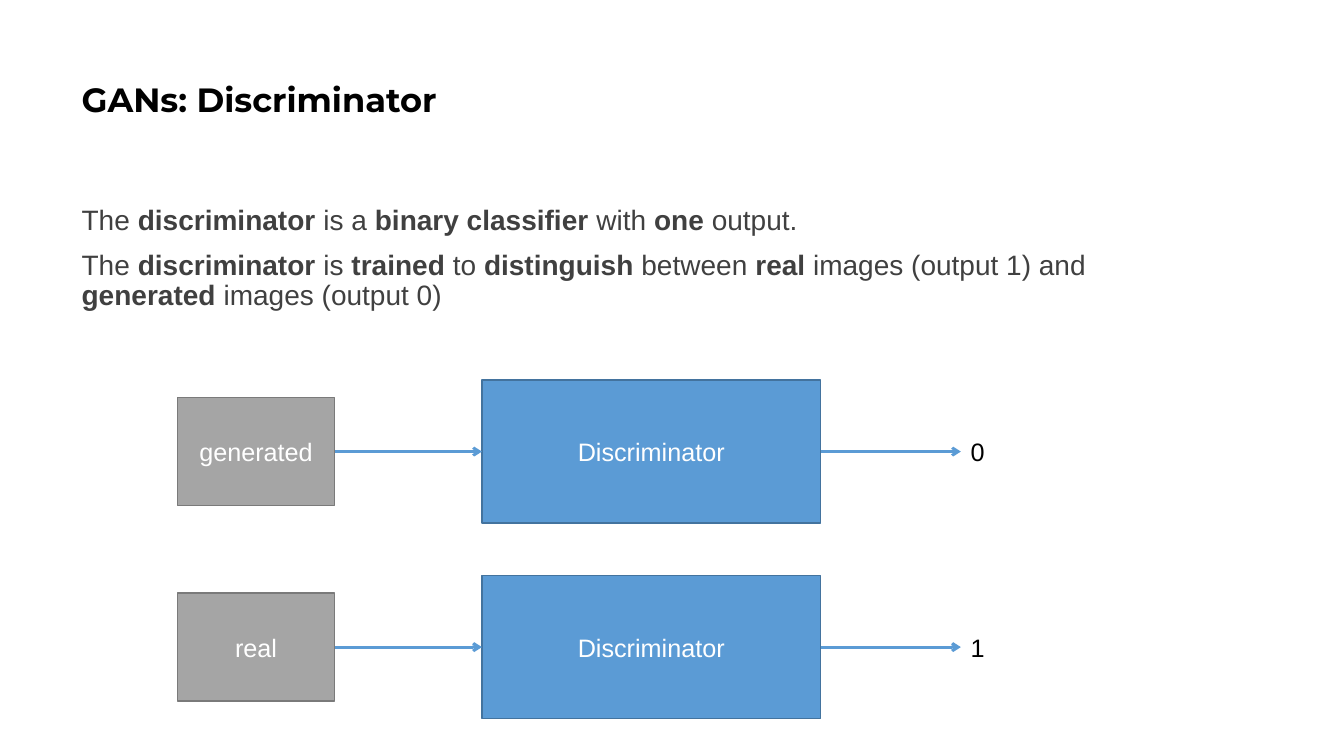
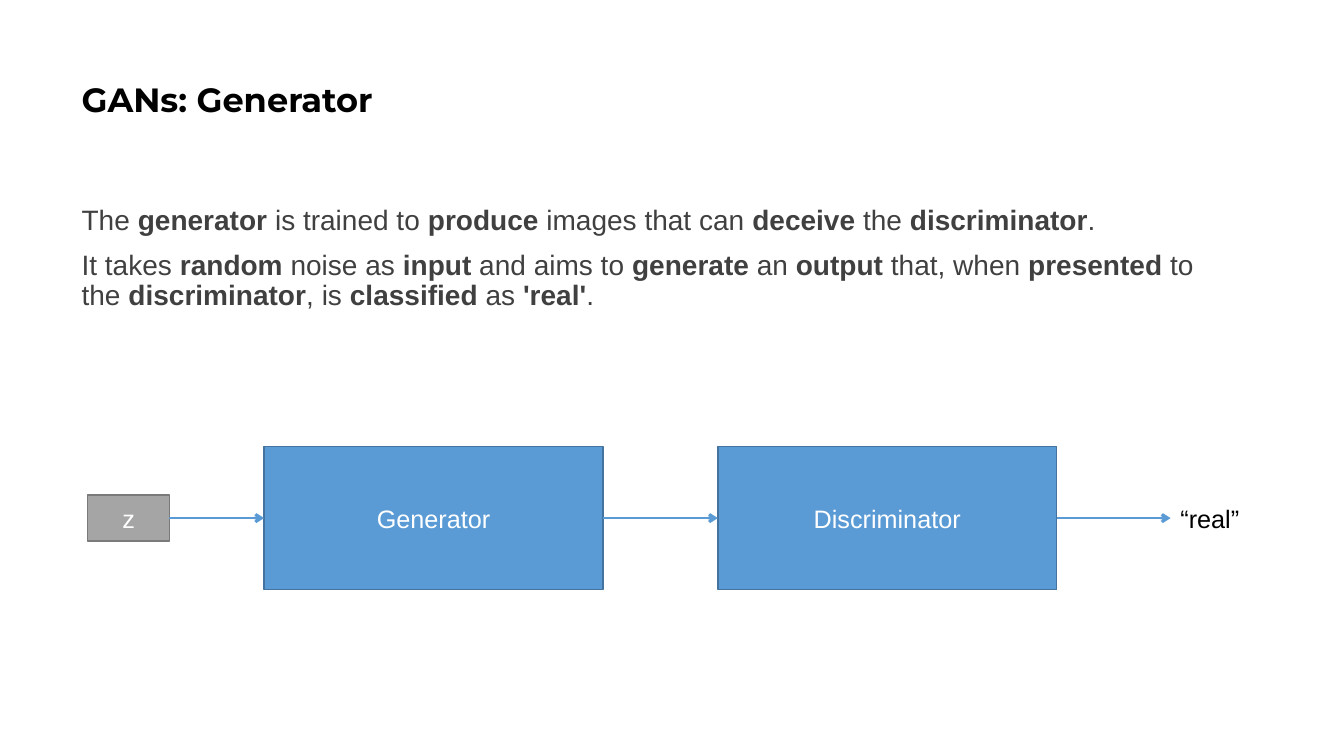
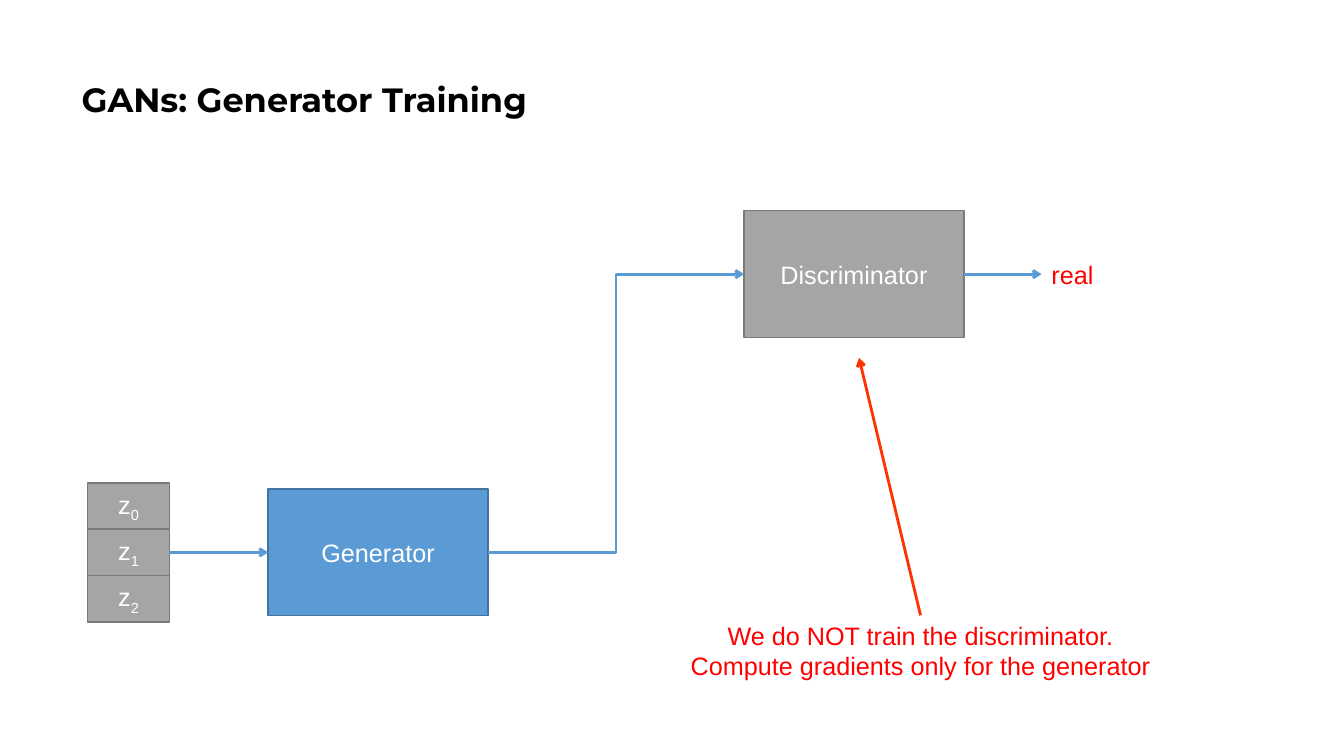
from lxml import etree
from pptx import Presentation
from pptx.dml.color import RGBColor
from pptx.enum import shapes, text
from pptx.oxml import ns
from pptx.util import Inches, Pt

BLUE, GREY, RED, BLACK = "5B9BD5", "A5A5A5", "FF0000", "000000"
BORDER = {BLUE: "43739E", GREY: "7A7A7A"}
TITLE_FONT = {"name": "Montserrat", "size": Pt(24), "bold": True}
BODY_FONT = {"name": "Arial", "size": Pt(20)}
LABEL_FONT = {"name": "Arial", "size": Pt(18)}

TITLE_AREA = (0.71, 0.28, 11.5, 1.45)
BODY_AREA = (0.71, 2, 11.5, 1.26)
NETWORK, TRAINING_NETWORK = (3.36, 1.42), (2.18, 1.26)
IMAGE, NOISE = (1.56, 1.07), (0.81, 0.46)
LABEL_HEIGHT = 0.4

# Boxes: key -> (text, fill, left, middle, size); "_" starts a subscript.
# Labels: key -> (lines, colour, left, middle, size).
# Arrows join the right side of one item to the left side of the next.
discriminator_boxes, discriminator_labels, discriminator_arrows = {}, {}, []
for kind, verdict, middle in (("generated", "0", 4.48), ("real", "1", 6.42)):
    network = "network for " + kind
    discriminator_boxes[kind] = (kind, GREY, 1.76, middle, IMAGE)
    discriminator_boxes[network] = ("Discriminator", BLUE, 4.78, middle, NETWORK)
    discriminator_labels[verdict] = ([verdict], BLACK, 9.53, middle, (0.36, LABEL_HEIGHT))
    discriminator_arrows += [(kind, network), (network, verdict)]

NOISE_MIDDLE = 5.48
training_boxes = {
    f"z{i}": (f"z_{i}", GREY, 0.87, NOISE_MIDDLE + (i - 1) * NOISE[1], NOISE)
    for i in range(3)
}
training_boxes["generator"] = ("Generator", BLUE, 2.66, NOISE_MIDDLE, TRAINING_NETWORK)
training_boxes["discriminator"] = ("Discriminator", GREY, 7.38, 2.72, TRAINING_NETWORK)

SLIDES = [
    {
        "title": "GANs: Discriminator",
        "body": [
            "The **discriminator** is a **binary classifier** with **one** output.",
            "The **discriminator** is **trained** to **distinguish** between **real** "
            "images (output 1) and **generated** images (output 0)",
        ],
        "boxes": discriminator_boxes,
        "labels": discriminator_labels,
        "arrows": discriminator_arrows,
    },
    {
        "title": "GANs: Generator",
        "body": [
            "The **generator** is trained to **produce** images that can **deceive** "
            "the **discriminator**.",
            "It takes **random** noise as **input** and aims to **generate** an **output** "
            "that, when **presented** to the **discriminator**, is **classified** as "
            "**'real'**.",
        ],
        "boxes": {
            "z": ("z", GREY, 0.87, 5.14, NOISE),
            "generator": ("Generator", BLUE, 2.62, 5.14, NETWORK),
            "discriminator": ("Discriminator", BLUE, 7.12, 5.14, NETWORK),
        },
        "labels": {"verdict": (["“real”"], BLACK, 11.61, 5.14, (0.93, LABEL_HEIGHT))},
        "arrows": [("z", "generator"), ("generator", "discriminator"),
                   ("discriminator", "verdict")],
    },
    {
        "title": "GANs: Generator Training",
        "body": [],
        "boxes": training_boxes,
        "labels": {
            "verdict": (["real"], RED, 10.33, 2.72, (0.67, LABEL_HEIGHT)),
            "note": (["We do NOT train the discriminator.",
                      "Compute gradients only for the generator"],
                     RED, 6.41, 6.46, (5.44, 0.71)),
        },
        "arrows": [("z1", "generator"), ("generator", "discriminator"),
                   ("discriminator", "verdict")],
        "pointer": ("note", (8.52, 3.55), "FF3300"),
    },
]


def rgb(colour):
    return RGBColor.from_string(colour)


def add_run(paragraph, words, font, colour):
    run = paragraph.add_run()
    run.text = words
    for name, value in font.items():
        setattr(run.font, name, value)
    run.font.color.rgb = rgb(colour)
    return run


def place(shape, area):
    for side, value in zip(("left", "top", "width", "height"), area):
        setattr(shape, side, Inches(value))


def paragraphs(frame, count):
    return [frame.paragraphs[0]] + [frame.add_paragraph() for _ in range(count - 1)]


def centred_area(left, middle, size):
    return [Inches(v) for v in (left, middle - size[1] / 2, *size)]


def add_title(slide, title):
    place(slide.shapes.title, TITLE_AREA)
    frame = slide.shapes.title.text_frame
    frame.auto_size = text.MSO_AUTO_SIZE.NONE
    frame.vertical_anchor = text.MSO_ANCHOR.MIDDLE
    heading = frame.paragraphs[0]
    heading.alignment = text.PP_ALIGN.LEFT
    heading.line_spacing = 0.9
    add_run(heading, title, TITLE_FONT, BLACK)


def add_body(slide, sentences):
    """Fill the body placeholder; ** marks the start and end of bold words."""
    body = slide.placeholders[1]
    place(body, BODY_AREA)
    frame = body.text_frame
    frame.auto_size = text.MSO_AUTO_SIZE.NONE
    for paragraph, sentence in zip(paragraphs(frame, len(sentences)), sentences):
        paragraph.line_spacing = 0.9
        paragraph.space_before = Pt(10)
        properties = paragraph._p.get_or_add_pPr()
        properties.set("marL", "0")
        properties.set("indent", "0")
        etree.SubElement(properties, ns.qn("a:buNone"))
        for i, words in enumerate(sentence.split("**")):
            if words:
                add_run(paragraph, words, {**BODY_FONT, "bold": i % 2 == 1}, "404040")


def add_box(slide, words, fill, left, middle, size):
    box = slide.shapes.add_shape(
        shapes.MSO_SHAPE.RECTANGLE, *centred_area(left, middle, size))
    box.shadow.inherit = False
    box.fill.solid()
    box.fill.fore_color.rgb = rgb(fill)
    box.line.color.rgb = rgb(BORDER[fill])
    box.line.width = Pt(1)
    box.text_frame.vertical_anchor = text.MSO_ANCHOR.MIDDLE
    caption = box.text_frame.paragraphs[0]
    caption.alignment = text.PP_ALIGN.CENTER
    base, _, subscript = words.partition("_")
    add_run(caption, base, LABEL_FONT, "FFFFFF")
    if subscript:
        run = add_run(caption, subscript, LABEL_FONT, "FFFFFF")
        run._r.get_or_add_rPr().set("baseline", "-25000")
    return box


def add_label(slide, lines, colour, left, middle, size):
    label = slide.shapes.add_textbox(*centred_area(left, middle, size))
    frame = label.text_frame
    frame.word_wrap = False
    frame.auto_size = text.MSO_AUTO_SIZE.SHAPE_TO_FIT_TEXT
    for paragraph, line in zip(paragraphs(frame, len(lines)), lines):
        if len(lines) > 1:
            paragraph.alignment = text.PP_ALIGN.CENTER
        add_run(paragraph, line, LABEL_FONT, colour)
    return label


def add_arrow(slide, start, end, colour, bent=False):
    kind = shapes.MSO_CONNECTOR.ELBOW if bent else shapes.MSO_CONNECTOR.STRAIGHT
    arrow = slide.shapes.add_connector(kind, *start, *end)
    arrow.line.color.rgb = rgb(colour)
    arrow.line.width = Pt(2)
    etree.SubElement(arrow.line._get_or_add_ln(), ns.qn("a:tailEnd"), type="arrow")
    etree.SubElement(arrow._element.spPr, ns.qn("a:effectLst"))
    return arrow


def join(slide, source, target):
    """Draw an arrow from the right of source to the left of target."""
    start = (source.left + source.width, source.top + source.height // 2)
    end = (target.left, target.top + target.height // 2)
    bent = abs(start[1] - end[1]) > Inches(0.1)
    arrow = add_arrow(slide, start, end, BLUE, bent)
    arrow.begin_connect(source, 3)
    arrow.end_connect(target, 1)


def build_slide(deck, content):
    layout = deck.slide_layouts.get_by_name(
        "Title and Content" if content["body"] else "Title Only")
    slide = deck.slides.add_slide(layout)
    add_title(slide, content["title"])
    if content["body"]:
        add_body(slide, content["body"])
    items = {key: add_box(slide, *box) for key, box in content["boxes"].items()}
    for key, label in content["labels"].items():
        items[key] = add_label(slide, *label)
    for source, target in content["arrows"]:
        join(slide, items[source], items[target])
    if "pointer" in content:
        key, tip, colour = content["pointer"]
        note = items[key]
        start = (note.left + note.width // 2, note.top)
        pointer = add_arrow(slide, start, [Inches(v) for v in tip], colour)
        pointer.begin_connect(note, 0)


def main():
    deck = Presentation()
    deck.slide_width, deck.slide_height = Inches(13.33), Inches(7.5)
    for content in SLIDES:
        build_slide(deck, content)
    deck.save("out.pptx")


if __name__ == "__main__":
    main()
